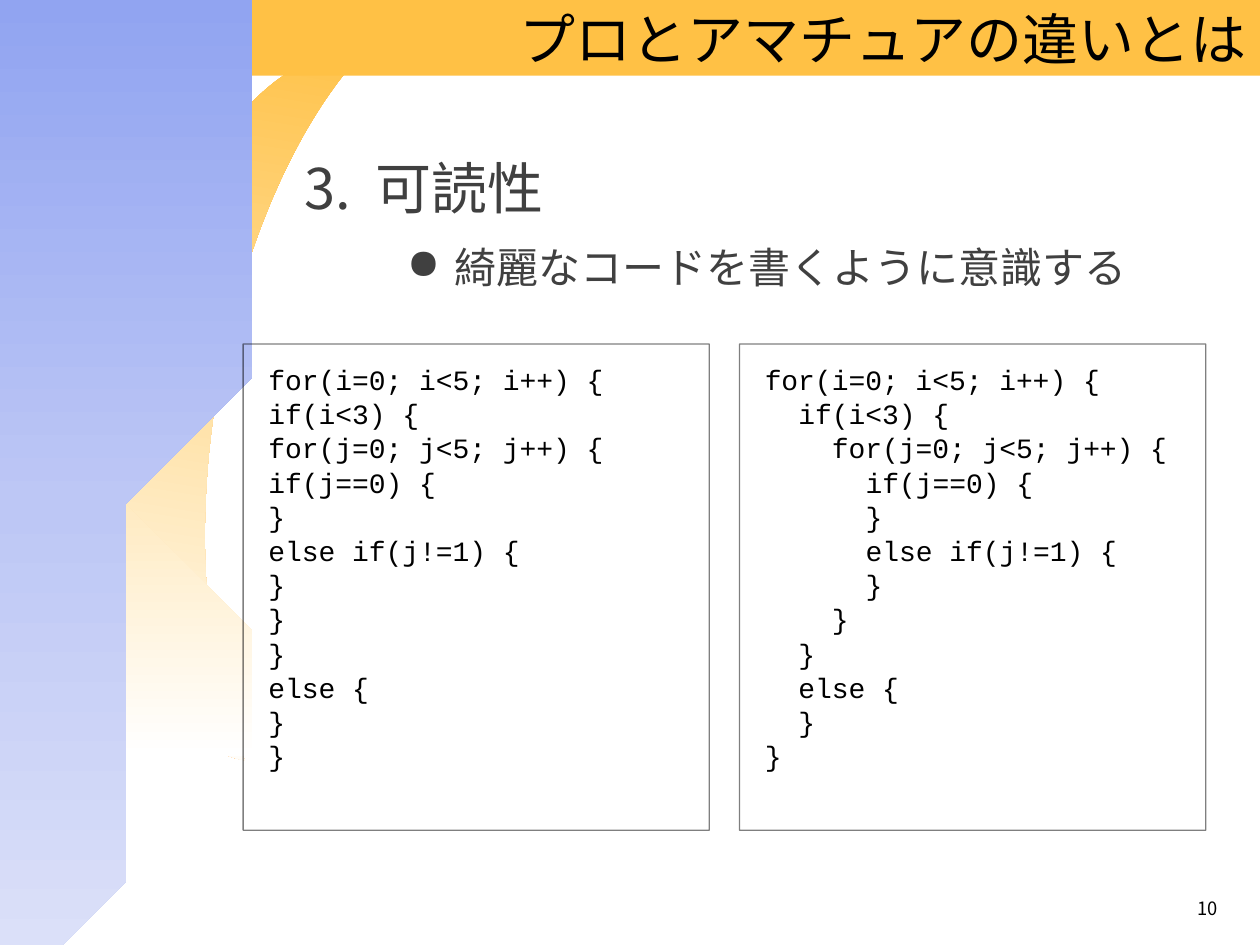
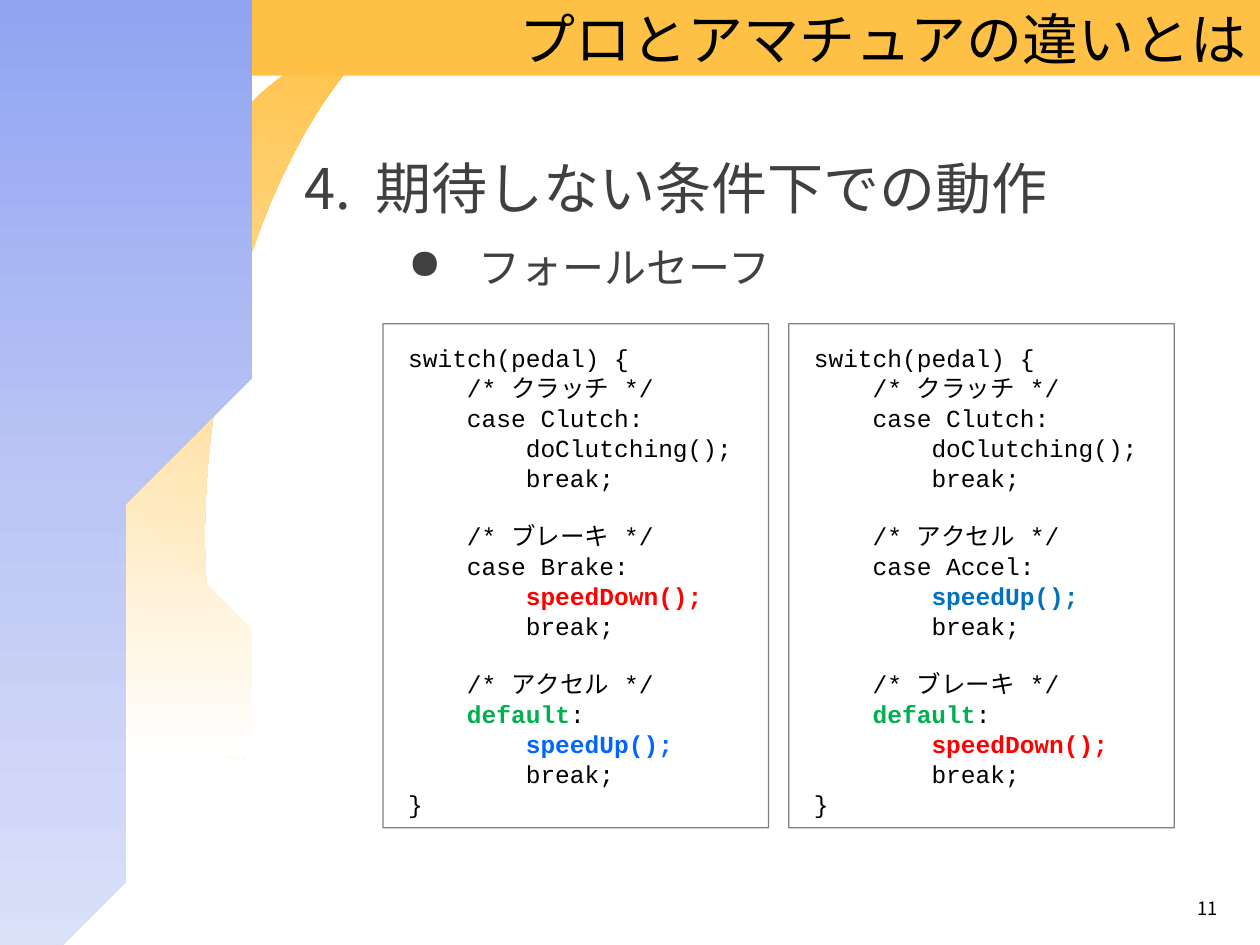
from dataclasses import dataclass

from lxml import etree
from pptx import Presentation
from pptx.dml.color import RGBColor
from pptx.enum.shapes import MSO_SHAPE
from pptx.enum.text import MSO_ANCHOR, PP_ALIGN
from pptx.oxml.ns import qn
from pptx.util import Inches, Pt

RECT, MOON = MSO_SHAPE.RECTANGLE, MSO_SHAPE.MOON
TOP, MIDDLE = MSO_ANCHOR.TOP, MSO_ANCHOR.MIDDLE
LEFT, RIGHT = PP_ALIGN.LEFT, PP_ALIGN.RIGHT


@dataclass(frozen=True)
class Theme:
    font: str = "Noto Sans CJK JP"
    code_font: str = "Courier New"
    ink: str = "000000"
    body: str = "404040"
    band: str = "FFC145"
    band_fade: tuple = ((0, "FFC145"), (100, "FFFFFF"))
    blue_fade: tuple = ((0, "91A4F1"), (50, "BDC7F5"), (100, "DFE3F9"))
    red: str = "FF0000"
    green: str = "00B050"
    bright_blue: str = "0066FF"
    blue: str = "0070C0"
    title_size: float = 32
    point_size: float = 24
    number_size: float = 10.5


T = Theme()
TITLE = "プロとアマチュアの違いとは"

NESTED_LOOP = """\
for(i=0; i<5; i++) {
  if(i<3) {
    for(j=0; j<5; j++) {
      if(j==0) {
      }
      else if(j!=1) {
      }
    }
  }
  else {
  }
}"""
FLAT_LOOP = "\n".join(line.lstrip() for line in NESTED_LOOP.split("\n"))

PEDAL_SWITCH = """\
switch(pedal) {{
    /* クラッチ */
    case Clutch:
        doClutching();
        break;

    /* {0[0]} */
    case {0[1]}:
        {0[2]}
        break;

    /* {1[0]} */
    default:
        {1[2]}
        break;
}}"""
BRAKE = ("ブレーキ", "Brake", "speedDown();")
ACCEL = ("アクセル", "Accel", "speedUp();")


def pedal_marks(speed_up_color):
    return {"speedDown();": T.red, "default": T.green, "speedUp();": speed_up_color}


def box(rect):
    return [Inches(v) for v in rect]


def add_run(p, text, size, color=T.ink, font=T.font, bold=False):
    r = p.add_run()
    r.text = text
    r.font.name, r.font.size, r.font.bold = font, Pt(size), bold
    r.font.color.rgb = RGBColor.from_string(color)
    ea = etree.SubElement(r._r.get_or_add_rPr(), qn("a:ea"))
    ea.set("typeface", font)


def add_text_box(s, rect, anchor=TOP):
    tf = s.shapes.add_textbox(*box(rect)).text_frame
    tf.word_wrap = True
    tf.vertical_anchor = anchor
    return tf


def set_indent(p, margin, first=0):
    pPr = p._p.get_or_add_pPr()
    pPr.set("marL", str(Inches(margin)))
    pPr.set("indent", str(Inches(first)))
    return pPr


def style_plain(sp, color=None):
    sp.shadow.inherit = False
    sp.line.fill.background()
    if color:
        sp.fill.solid()
        sp.fill.fore_color.rgb = RGBColor.from_string(color)


def fade_down(sp, stops):
    style_plain(sp)
    sp.fill.gradient()
    sp.fill.gradient_angle = 270
    gs_list = sp._element.spPr.find(qn("a:gradFill")).find(qn("a:gsLst"))
    for gs in list(gs_list):
        gs_list.remove(gs)
    for pos, color in stops:
        gs = etree.SubElement(gs_list, qn("a:gs"), pos=str(pos * 1000))
        etree.SubElement(gs, qn("a:srgbClr"), val=color)


def add_outline(s, points):
    builder = s.shapes.build_freeform(*points[0], scale=Inches(1))
    builder.add_line_segments(points[1:], close=True)
    return builder.convert_to_shape()


def bezier(a, b, c, d, steps=24):
    for i in range(1, steps + 1):
        t = i / steps
        u = 1 - t
        yield tuple(u**3 * w + 3 * u * u * t * x + 3 * u * t * t * y + t**3 * z
                    for w, x, y, z in zip(a, b, c, d))


def add_backdrop(s):
    moon = s.shapes.add_shape(MOON, *box((1.03, 0.29, 1.38, 5.67)))
    moon.rotation = 9.3
    fade_down(moon, T.band_fade)
    fade_down(add_outline(s, [(2.05, 6.08), (0, 6.08), (0, 0.5), (2.5, 0.5), (1.52, 2.24),
                              (1.36, 3.98), (1.67, 5.46)]), T.band_fade)
    band = s.shapes.add_shape(RECT, *box((0, 0, 10, 0.6)))
    style_plain(band, T.band)
    start, middle, end = (2.44, 0), (1.68, 2.35), (1.29, 7.48)
    edge = [start, *bezier(start, (2.31, 0.33), (1.94, 1.09), middle),
            *bezier(middle, (1.43, 3.61), (1.29, 5.1), end)]
    fade_down(add_outline(s, edge + [(0, 7.5), (0, 0)]), T.blue_fade)


def add_right_text(s, rect, text, size):
    p = add_text_box(s, rect, MIDDLE).paragraphs[0]
    p.alignment = RIGHT
    add_run(p, text, size)


def add_body(s, rect, number, heading, point, point_margin, point_hang):
    tf = add_text_box(s, rect)
    p = tf.paragraphs[0]
    p.line_spacing = 0.9
    pPr = set_indent(p, 0.56, -0.56)
    etree.SubElement(pPr, qn("a:buAutoNum"), type="arabicPeriod", startAt=str(number))
    add_run(p, heading, T.title_size, T.body)
    p = tf.add_paragraph()
    p.level = 1
    p.line_spacing, p.space_before = 0.9, Pt(14.4)
    pPr = set_indent(p, point_margin, -point_hang)
    etree.SubElement(pPr, qn("a:buChar"), char="●")
    add_run(p, point, T.point_size, T.body)


def split_marks(text, marks):
    for word, color in marks.items():
        if word in text:
            before, _, after = text.partition(word)
            return [(t, c) for t, c in ((before, None), (word, color), (after, None)) if t]
    return [(text, None)]


def add_code(s, rect, code, size, marks):
    sp = s.shapes.add_shape(RECT, *box(rect))
    sp.shadow.inherit = False
    sp.fill.background()
    sp.line.width = Pt(0.75)
    sp.line.color.rgb = RGBColor.from_string(T.ink)
    ink = sp.line._ln.find(qn("a:solidFill"))[0]
    etree.SubElement(ink, qn("a:alpha"), val="50000")
    tf = sp.text_frame
    tf.word_wrap = True
    tf.vertical_anchor = TOP
    tf.margin_left = tf.margin_top = tf.margin_right = tf.margin_bottom = Inches(0.2)
    char_width = 0.6 * size / 72
    line_gap = 0.26 * size
    p, gap = tf.paragraphs[0], line_gap / 2
    for line in code.split("\n"):
        if not line:
            gap += 1.17 * size
            continue
        p = p if not p.runs else tf.add_paragraph()
        p.alignment = LEFT
        p.line_spacing, p.space_before = 0.8, Pt(gap)
        text = line.lstrip()
        set_indent(p, char_width * (len(line) - len(text)))
        for part, color in split_marks(text, marks):
            add_run(p, part, size, color or T.ink, T.code_font, bool(color))
        gap = line_gap


def add_code_pair(s, rect, gap, size, samples):
    left, top, width, height = rect
    for i, (code, marks) in enumerate(samples):
        add_code(s, (left + i * (width + gap), top, width, height), code, size, marks)


def add_slide(prs, page, heading, point, point_indent, code_rect, code_gap, code_size, samples):
    s = prs.slides.add_slide(prs.slide_layouts[6])
    add_backdrop(s)
    add_body(s, (2.32, 1.23, 7.4, 5.43), page - 7, heading, point, *point_indent)
    add_right_text(s, (2.32, 0, 7.68, 0.6), TITLE, T.title_size)
    add_right_text(s, (7.99, 7.06, 1.77, 0.29), str(page), T.number_size)
    add_code_pair(s, code_rect, code_gap, code_size, samples)


def main():
    prs = Presentation()
    prs.slide_width, prs.slide_height = Inches(10), Inches(7.5)
    add_slide(prs, 10, "可読性", "綺麗なコードを書くように意識する", (1.19, 0.38),
              (1.93, 2.73, 3.7, 3.86), 0.24, 16, [(FLAT_LOOP, {}), (NESTED_LOOP, {})])
    add_slide(prs, 11, "期待しない条件下での動作", "フォールセーフ", (1.38, 0.56),
              (3.04, 2.57, 3.06, 4), 0.16, 14,
              [(PEDAL_SWITCH.format(BRAKE, ACCEL), pedal_marks(T.bright_blue)),
               (PEDAL_SWITCH.format(ACCEL, BRAKE), pedal_marks(T.blue))])
    prs.save("out.pptx")


if __name__ == "__main__":
    main()
